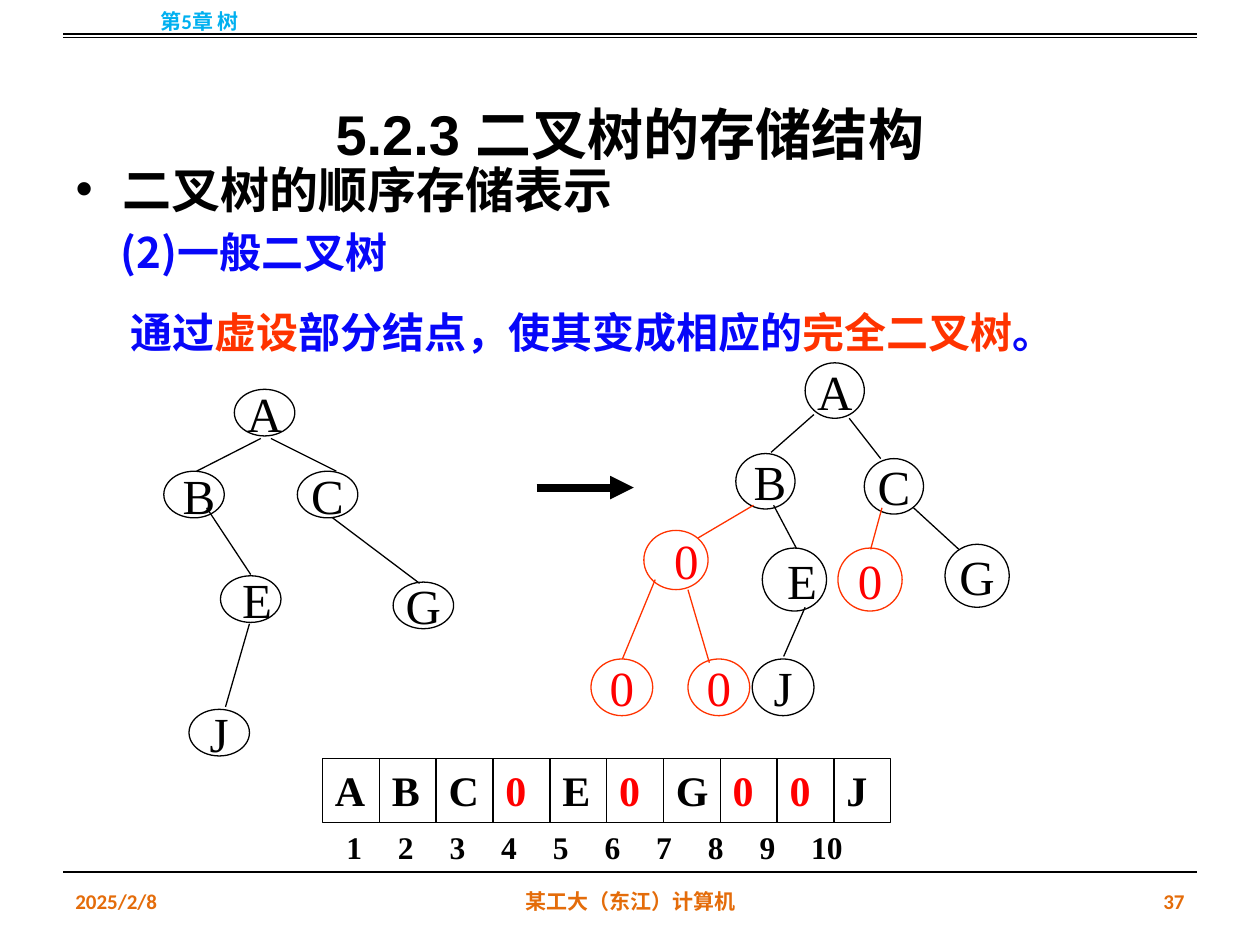
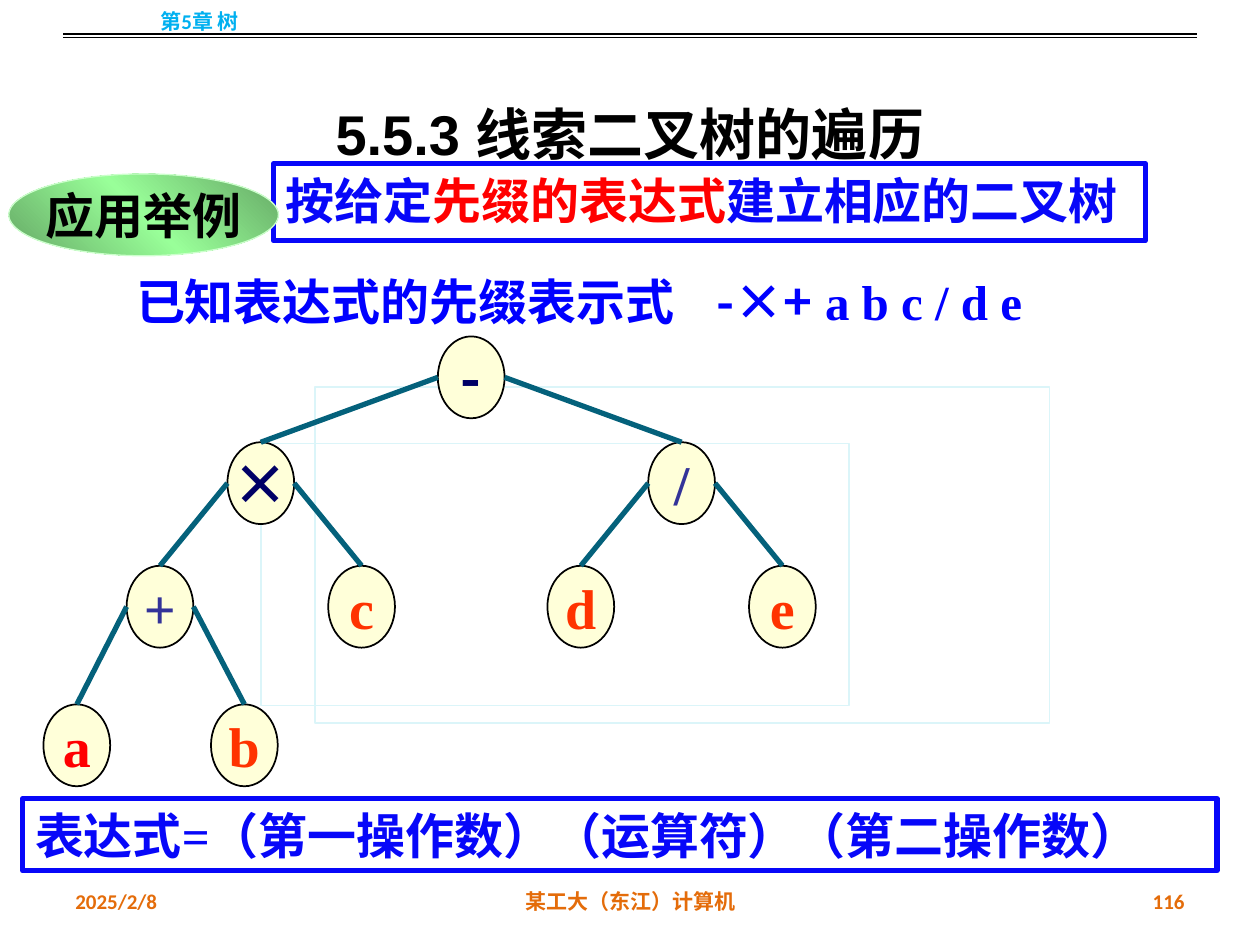
import copy
from dataclasses import dataclass
from typing import NamedTuple

import pptx
import pptx.dml.color
import pptx.enum.dml
import pptx.enum.shapes
import pptx.enum.text
import pptx.oxml
import pptx.oxml.ns
import pptx.util

Inches = pptx.util.Inches
Pt = pptx.util.Pt
RGBColor = pptx.dml.color.RGBColor
Align = pptx.enum.text.PP_ALIGN
Anchor = pptx.enum.text.MSO_ANCHOR
Preset = pptx.enum.shapes.MSO_SHAPE
qn = pptx.oxml.ns.qn

BLACK = RGBColor(0, 0, 0)
BLUE = RGBColor(0x07, 0x07, 0xF9)
PURE_BLUE = RGBColor(0, 0, 0xFF)
RED = RGBColor(0xFF, 0, 0)
ORANGE_RED = RGBColor(0xFF, 0x33, 0)
FOOTER_ORANGE = RGBColor(0xE4, 0x6C, 0x0A)
CHAPTER_CYAN = RGBColor(0, 0xB0, 0xF0)
FRAME_CYAN = RGBColor(0xDB, 0xF5, 0xF9)
NODE_CREAM = RGBColor(0xFF, 0xFF, 0xD9)
NAVY = RGBColor(0, 0, 0x66)
INDIGO = RGBColor(0x33, 0x33, 0x99)
EDGE_TEAL = RGBColor(0x04, 0x61, 0x7B)
DARK_GREEN = RGBColor(0x65, 0xA8, 0x65)
LIGHT_GREEN = RGBColor(0x99, 0xFF, 0x99)
RIM_GREEN = RGBColor(0xCC, 0xFF, 0xCC)

SERIF = "Times New Roman"
SANS = "Calibri"
HEADING = "Arial"
CHINESE = "Noto Sans CJK SC"

MIDDLE = {"vertical_anchor": Anchor.MIDDLE, "word_wrap": True}
UNWRAPPED = {"word_wrap": False}
MIDDLE_UNWRAPPED = {"vertical_anchor": Anchor.MIDDLE, "word_wrap": False}
NO_MARGINS = {f"margin_{side}": 0 for side in ("left", "top", "right", "bottom")}


class Box(NamedTuple):
    left: float
    top: float
    width: float
    height: float

    def lengths(self) -> list:
        return [Inches(value) for value in self]


class Run(NamedTuple):
    text: str
    color: RGBColor = BLACK
    font: str = SERIF


class Edge(NamedTuple):
    start_x: float
    start_y: float
    end_x: float
    end_y: float
    color: RGBColor = BLACK
    weight: float = 0.75


@dataclass
class Node:
    label: str
    box: Box
    align: Align = Align.CENTER

    @property
    def virtual(self) -> bool:
        return self.label == "0"


@dataclass
class ExpressionNode:
    label: str
    center_x: float
    top: float
    color: RGBColor = ORANGE_RED
    font: str = SERIF
    parent: str = ""


def apply(target, values: dict) -> None:
    for name, value in values.items():
        setattr(target, name, value)


def write(shape, runs: list[Run], size: float, bold: bool = True,
          frame: dict | None = None, paragraph_format: dict | None = None):
    text_frame = shape.text_frame
    apply(text_frame, frame or {"word_wrap": True})
    paragraph = text_frame.paragraphs[0]
    apply(paragraph, paragraph_format or {"alignment": Align.LEFT})
    for part in runs:
        run = paragraph.add_run()
        run.text = part.text
        apply(run.font, {"size": Pt(size), "bold": bold, "name": part.font})
        run.font.color.rgb = part.color
        east_asian = run.font._element.makeelement(qn("a:ea"), {"typeface": CHINESE})
        run.font._element.append(east_asian)
    return paragraph


def set_tabs(paragraph, positions: list[float]) -> None:
    stops = "".join(f'<a:tab pos="{Inches(x)}" algn="l"/>' for x in positions)
    tab_list = pptx.oxml.parse_xml(f'<a:tabLst {pptx.oxml.ns.nsdecls("a")}>{stops}</a:tabLst>')
    paragraph._p.get_or_add_pPr().append(tab_list)


def add_text(slide, box: Box, runs: list[Run], size: float, **formats):
    return write(slide.shapes.add_textbox(*box.lengths()), runs, size, **formats)


def add_figure(slide, preset: Preset, box: Box, line: RGBColor, weight: float,
               fill: RGBColor | None = None):
    shape = slide.shapes.add_shape(preset, *box.lengths())
    shape.shadow.inherit = False
    shape.line.color.rgb = line
    shape.line.width = Pt(weight)
    if fill is None:
        shape.fill.background()
    else:
        shape.fill.solid()
        shape.fill.fore_color.rgb = fill
    return shape


def add_edge(slide, edge: Edge):
    connector = slide.shapes.add_connector(
        pptx.enum.shapes.MSO_CONNECTOR.STRAIGHT, *[Inches(value) for value in edge[:4]])
    connector.line.color.rgb = edge.color
    connector.line.width = Pt(edge.weight)
    properties = connector._element.spPr
    properties.append(properties.makeelement(qn("a:effectLst"), {}))
    return connector


def add_lecture_slide(presentation, layout_index: int, title: str, number: str):
    slide = presentation.slides.add_slide(presentation.slide_layouts[layout_index])
    heading = slide.shapes.title
    apply(heading, dict(zip(("left", "top", "width", "height"),
                            Box(0.5, 0.3, 9, 1.25).lengths())))
    write(heading, [Run(title, BLACK, HEADING)], 32, frame=MIDDLE,
          paragraph_format={"alignment": Align.CENTER, "line_spacing": 1.5,
                            "space_before": Pt(1.6), "space_after": Pt(1.6)})
    captions = [
        ("2025/2/8", Box(0.5, 6.95, 2.33, 0.4), Align.LEFT, FOOTER_ORANGE),
        ("某工大（东江）计算机", Box(3.42, 6.95, 3.17, 0.4), Align.CENTER, FOOTER_ORANGE),
        (number, Box(7.17, 6.95, 2.33, 0.4), Align.RIGHT, FOOTER_ORANGE),
        ("第5章 树", Box(0, -0.03, 3.17, 0.4), Align.CENTER, CHAPTER_CYAN),
    ]
    for text, box, align, color in captions:
        add_text(slide, box, [Run(text, color, SANS)], 12, frame=MIDDLE,
                 paragraph_format={"alignment": align})
    for y in (0.3, 0.27, 6.92):
        add_edge(slide, Edge(0.5, y, 9.5, y))
    return slide


def add_tree(slide, nodes: list[Node], edges: list[Edge]) -> None:
    for node in nodes:
        line = ORANGE_RED if node.virtual else BLACK
        shape = add_figure(slide, Preset.OVAL, node.box, line, 0.75)
        write(shape, [Run(node.label, RED if node.virtual else BLACK)], 28, bold=False,
              frame=MIDDLE | NO_MARGINS, paragraph_format={"alignment": node.align})
    for edge in edges:
        add_edge(slide, edge)


def add_storage_array(slide, labels: str) -> None:
    cell_width = 0.45
    pitch = 0.451
    for index, label in enumerate(labels):
        cell = add_figure(slide, Preset.RECTANGLE,
                          Box(2.56 + index * pitch, 6.02, cell_width, 0.51), BLACK, 0.75)
        write(cell, [Run(label, RED if label == "0" else BLACK)], 24,
              frame={"vertical_anchor": Anchor.TOP, "word_wrap": True})
    count = len(labels)
    numbers = "\t".join(str(index + 1) for index in range(count))
    paragraph = add_text(slide, Box(2.65, 6.52, 4.4, 0.4), [Run(numbers)], 18)
    set_tabs(paragraph, [0.41 * index for index in range(1, count)])


def build_storage_slide(presentation) -> None:
    slide = add_lecture_slide(presentation, 1, "5.2.3 二叉树的存储结构", "37")
    body = slide.placeholders[1]
    apply(body, dict(zip(("left", "top", "width", "height"),
                         Box(0.5, 1.25, 9, 5.58).lengths())))
    write(body, [Run("二叉树的顺序存储表示", BLACK, SANS)], 28,
          paragraph_format={"line_spacing": Pt(31)})
    add_text(slide, Box(0.86, 1.75, 2.4, 0.51), [Run("(2)一般二叉树", BLUE, CHINESE)], 24,
             frame=UNWRAPPED)
    add_storage_array(slide, "ABC0E0G00J")
    sentence = [("通过", BLUE), ("虚设", ORANGE_RED), ("部分结点，使其变成相应的", BLUE),
                ("完全二叉树", ORANGE_RED), ("。", BLUE)]
    add_text(slide, Box(0.94, 2.38, 7.64, 0.51),
             [Run(text, color, CHINESE) for text, color in sentence], 24, frame=UNWRAPPED)

    general_places = [("A", 1.86, 3.09), ("B", 1.3, 3.74), ("C", 2.36, 3.74),
                      ("E", 1.75, 4.57), ("G", 3.12, 4.62), ("J", 1.5, 5.63)]
    general_nodes = [Node(label, Box(left, top, 0.48, 0.37),
                          Align.RIGHT if label in "BE" else Align.CENTER)
                     for label, left, top in general_places]
    add_tree(slide, general_nodes, [
        Edge(2.07, 3.48, 1.56, 3.74),
        Edge(2.15, 3.48, 2.67, 3.74),
        Edge(1.64, 4.03, 1.99, 4.56),
        Edge(2.64, 4.11, 3.33, 4.63),
        Edge(1.98, 4.95, 1.79, 5.61),
    ])
    add_tree(slide, [
        Node("A", Box(6.39, 2.88, 0.47, 0.44)),
        Node("B", Box(5.84, 3.6, 0.47, 0.44), Align.RIGHT),
        Node("C", Box(6.86, 3.64, 0.47, 0.44)),
        Node("0", Box(5.11, 4.21, 0.51, 0.47), Align.RIGHT),
        Node("E", Box(6.05, 4.35, 0.51, 0.5), Align.RIGHT),
        Node("0", Box(6.65, 4.35, 0.51, 0.5)),
        Node("G", Box(7.5, 4.32, 0.51, 0.5)),
        Node("0", Box(5.46, 5.23, 0.49, 0.45)),
        Node("0", Box(4.69, 5.23, 0.49, 0.45)),
        Node("J", Box(5.97, 5.23, 0.49, 0.45)),
    ], [
        Edge(6.46, 3.29, 6.12, 3.59),
        Edge(6.74, 3.32, 6.99, 3.64),
        Edge(5.98, 4.01, 5.54, 4.27, ORANGE_RED),
        Edge(6.14, 4.01, 6.32, 4.35),
        Edge(7, 4.03, 6.91, 4.36, ORANGE_RED),
        Edge(7.25, 4.03, 7.61, 4.36),
        Edge(5.2, 4.6, 4.94, 5.23, ORANGE_RED),
        Edge(5.46, 4.68, 5.63, 5.26, ORANGE_RED),
        Edge(6.39, 4.82, 6.22, 5.21),
    ])
    arrow = add_edge(slide, Edge(4.26, 3.87, 5.03, 3.87, BLACK, 4.5))
    line = arrow.line._get_or_add_ln()
    line.append(line.makeelement(qn("a:tailEnd"), {"type": "triangle"}))


def add_expression_tree(slide, nodes: list[ExpressionNode]) -> None:
    width, height = 0.53, 0.65
    shapes = {}
    for node in nodes:
        shape = add_figure(slide, Preset.OVAL,
                           Box(node.center_x - width / 2, node.top, width, height),
                           BLACK, 1, NODE_CREAM)
        write(shape, [Run(node.label, node.color, node.font)], 32,
              frame=MIDDLE_UNWRAPPED, paragraph_format={"alignment": Align.CENTER})
        shapes[node.label] = shape
    by_label = {node.label: node for node in nodes}
    for node in nodes:
        if node.parent:
            parent = by_label[node.parent]
            side = -width / 2 if node.center_x < parent.center_x else width / 2
            connector = add_edge(slide, Edge(parent.center_x + side, parent.top + height / 2,
                                             node.center_x, node.top, EDGE_TEAL, 3))
            connector.end_connect(shapes[node.label], 0)


def add_example_badge(slide) -> None:
    badge = add_figure(slide, Preset.OVAL, Box(0.07, 1.38, 2.14, 0.65), RIM_GREEN, 0.75)
    badge.fill.gradient()
    badge.fill.gradient_angle = 45
    stop_list = next(badge._element.iter(qn("a:gsLst")))
    stop_list.append(copy.deepcopy(stop_list[0]))
    colors = (DARK_GREEN, LIGHT_GREEN, DARK_GREEN)
    for stop, position, color in zip(badge.fill.gradient_stops, (0, 0.5, 1), colors):
        stop.position = position
        stop.color.rgb = color
    write(badge, [Run("应用举例")], 28, frame=MIDDLE_UNWRAPPED,
          paragraph_format={"alignment": Align.CENTER})


def build_expression_slide(presentation) -> None:
    slide = add_lecture_slide(presentation, 5, "5.5.3 线索二叉树的遍历", "116")
    add_figure(slide, Preset.RECTANGLE, Box(2.5, 3.07, 5.83, 2.67), FRAME_CYAN, 1)
    top_frame = {"vertical_anchor": Anchor.TOP, "word_wrap": True}
    task = add_figure(slide, Preset.RECTANGLE, Box(2.17, 1.3, 6.92, 0.61), BLUE, 3)
    write(task, [Run("按给定", BLUE), Run("先缀的表达式", RED),
                 Run("建立相应的二叉树", BLUE)], 28, frame=top_frame)
    add_example_badge(slide)
    prefix = add_text(slide, Box(0.26, 2.01, 9.92, 0.66),
                      [Run("已知表达式的先缀表示式\t", PURE_BLUE), Run("-×+", PURE_BLUE, CHINESE),
                       Run(" a b c / d e", PURE_BLUE)], 28,
                      frame={"word_wrap": True, "margin_left": Inches(0.82)},
                      paragraph_format={"line_spacing": 1.2})
    set_tabs(prefix, [4.61])
    formula = add_figure(slide, Preset.RECTANGLE, Box(0.18, 6.34, 9.48, 0.57), BLUE, 3)
    write(formula, [Run("表达式=（第一操作数）（运算符）（第二操作数）", BLUE)], 28, frame=top_frame)
    add_figure(slide, Preset.RECTANGLE, Box(2.07, 3.52, 4.67, 2.08), FRAME_CYAN, 1)
    add_expression_tree(slide, [
        ExpressionNode("a", 0.61, 5.59, RED, parent="+"),
        ExpressionNode("b", 1.94, 5.59, parent="+"),
        ExpressionNode("c", 2.87, 4.49, parent="×"),
        ExpressionNode("d", 4.61, 4.49, parent="/"),
        ExpressionNode("e", 6.21, 4.49, parent="/"),
        ExpressionNode("-", 3.74, 2.67, NAVY, CHINESE),
        ExpressionNode("×", 2.07, 3.51, NAVY, CHINESE, "-"),
        ExpressionNode("+", 1.27, 4.49, INDIGO, parent="×"),
        ExpressionNode("/", 5.41, 3.51, INDIGO, parent="-"),
    ])


def main() -> None:
    presentation = pptx.Presentation()
    presentation.slide_width = Inches(10)
    presentation.slide_height = Inches(7.5)
    build_storage_slide(presentation)
    build_expression_slide(presentation)
    presentation.save("out.pptx")


if __name__ == "__main__":
    main()
